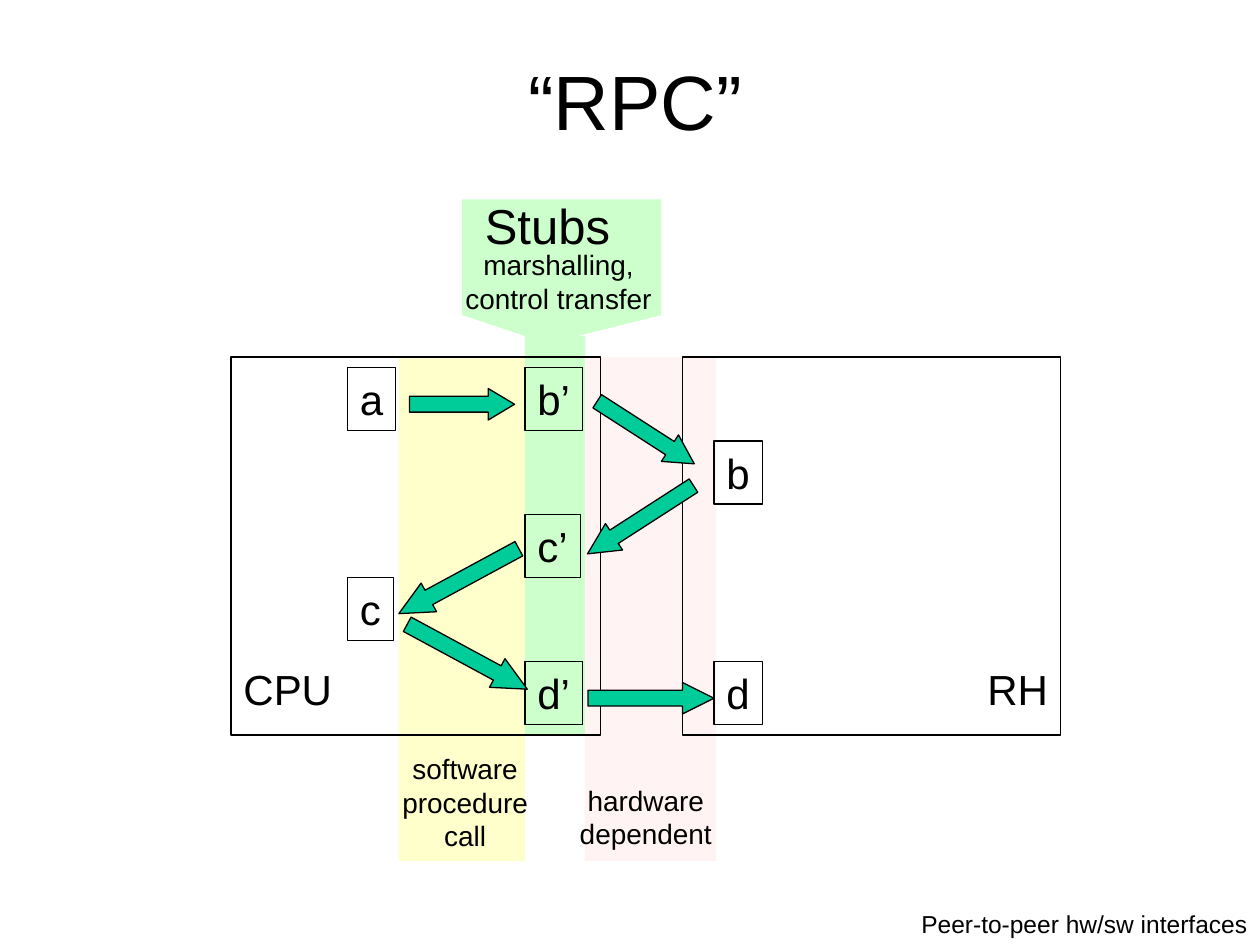
from dataclasses import dataclass

from pptx import Presentation
from pptx.dml.color import RGBColor
from pptx.enum.shapes import MSO_SHAPE
from pptx.enum.text import MSO_ANCHOR, PP_ALIGN
from pptx.util import Inches, Pt


@dataclass(frozen=True)
class Theme:
    font: str = "Arial"
    ink: str = "000000"
    stub: str = "CCFFCC"
    software: str = "FFFFCC"
    hardware: str = "FFF3F3"
    arrow: str = "00CC99"
    title: int = 44
    heading: int = 28
    label: int = 24
    note: int = 16
    footer: int = 14
    line: float = 0.75


theme = Theme()
deck = Presentation()
deck.slide_width, deck.slide_height = Inches(10), Inches(7.5)
slide = deck.slides.add_slide(deck.slide_layouts[6])
UNIT = deck.slide_width // 120  # the grid has 120 columns and 90 rows


def draw(preset, cell, fill=None, outlined=False):
    """Add a preset shape on a cell given as column, row, columns, rows."""
    shape = slide.shapes.add_shape(preset, *[int(n * UNIT) for n in cell])
    shape.shadow.inherit = False
    if fill:
        shape.fill.solid()
        shape.fill.fore_color.rgb = RGBColor.from_string(fill)
    else:
        shape.fill.background()
    if outlined:
        shape.line.color.rgb = RGBColor.from_string(theme.ink)
        shape.line.width = Pt(theme.line)
    else:
        shape.line.fill.background()
    return shape


def write(text, *, size, cell=None, shape=None, align=PP_ALIGN.LEFT,
          anchor=MSO_ANCHOR.TOP, wrap=False):
    """Write into the shape, or into a new text box on the cell."""
    shape = shape or slide.shapes.add_textbox(*[int(n * UNIT) for n in cell])
    frame = shape.text_frame
    frame.text = text
    frame.word_wrap = wrap
    frame.vertical_anchor = anchor
    for paragraph in frame.paragraphs:
        paragraph.alignment = align
        paragraph.font.name = theme.font
        paragraph.font.size = Pt(size)
        paragraph.font.color.rgb = RGBColor.from_string(theme.ink)
    return frame


# Stubs: callout and the column it points to
outline = [(50, 32.2), (43.9, 29.8), (44, 19), (63, 19), (63, 29.5), (55.3, 32.3)]
builder = slide.shapes.build_freeform(*outline[0], scale=UNIT)
builder.add_line_segments(outline[1:], close=True)
callout = builder.convert_to_shape()
callout.shadow.inherit = False
callout.fill.solid()
callout.fill.fore_color.rgb = RGBColor.from_string(theme.stub)
callout.line.fill.background()
draw(MSO_SHAPE.RECTANGLE, (50, 32, 5.75, 38), theme.stub)
write("marshalling,\ncontrol transfer", size=theme.note,
      cell=(43.1, 23, 20.2, 7.7), align=PP_ALIGN.CENTER)
write("Stubs", size=theme.heading, cell=(45, 18, 14.3, 6.8))

# Bands for the two kinds of transfer
for left, width, fill, text, text_cell in [
    (38, 12, theme.software, "software\nprocedure\ncall", (37.1, 71, 14.4, 10.8)),
    (55.7, 12.5, theme.hardware, "hardware\ndependent", (54, 74, 15, 7.7)),
]:
    draw(MSO_SHAPE.RECTANGLE, (left, 34, width, 48), fill)
    write(text, size=theme.note, cell=text_cell, align=PP_ALIGN.CENTER)

# The two processors
for text, left, width, align in [
    ("RH", 65, 36, PP_ALIGN.RIGHT),
    ("CPU", 22, 35.2, PP_ALIGN.LEFT),
]:
    processor = draw(MSO_SHAPE.RECTANGLE, (left, 34, width, 36), outlined=True)
    frame = write(text, size=theme.label, shape=processor, align=align,
                  anchor=MSO_ANCHOR.BOTTOM, wrap=True)
    frame.margin_bottom = 2 * UNIT

write("“RPC”", size=theme.title, cell=(9, 5, 103, 9), align=PP_ALIGN.CENTER,
      anchor=MSO_ANCHOR.MIDDLE, wrap=True)

# Procedures and their stubs
for text, left, top, width in [
    ("a", 33.1, 35, 4.6),
    ("b", 68, 42, 4.6),
    ("c", 33.1, 55, 4.4),
    ("d", 68, 63, 4.6),
    ("b’", 50, 35, 5.5),
    ("c’", 50, 49, 5.3),
    ("d’", 50, 63, 5.5),
]:
    procedure = draw(MSO_SHAPE.RECTANGLE, (left, top, width, 6), outlined=True)
    write(text, size=theme.label, shape=procedure)

# Calls between them
for left, top, length, thickness, angle in [
    (39, 37, 10, 3, 0),
    (56, 65, 12, 3, 0),
    (56, 39.7, 11, 3, 32.8),
    (55, 48, 12, 3, 147.2),
    (37.2, 53.8, 13, 3.1, 151.6),
    (38, 61, 13, 3.1, 28.4),
]:
    call = draw(MSO_SHAPE.RIGHT_ARROW, (left, top, length, thickness),
                theme.arrow, outlined=True)
    call.adjustments[1] = length / thickness / 4
    call.rotation = angle

write("Peer-to-peer hw/sw interfaces", size=theme.footer, cell=(75, 86, 45, 4),
      align=PP_ALIGN.RIGHT, wrap=True)

deck.save("out.pptx")
